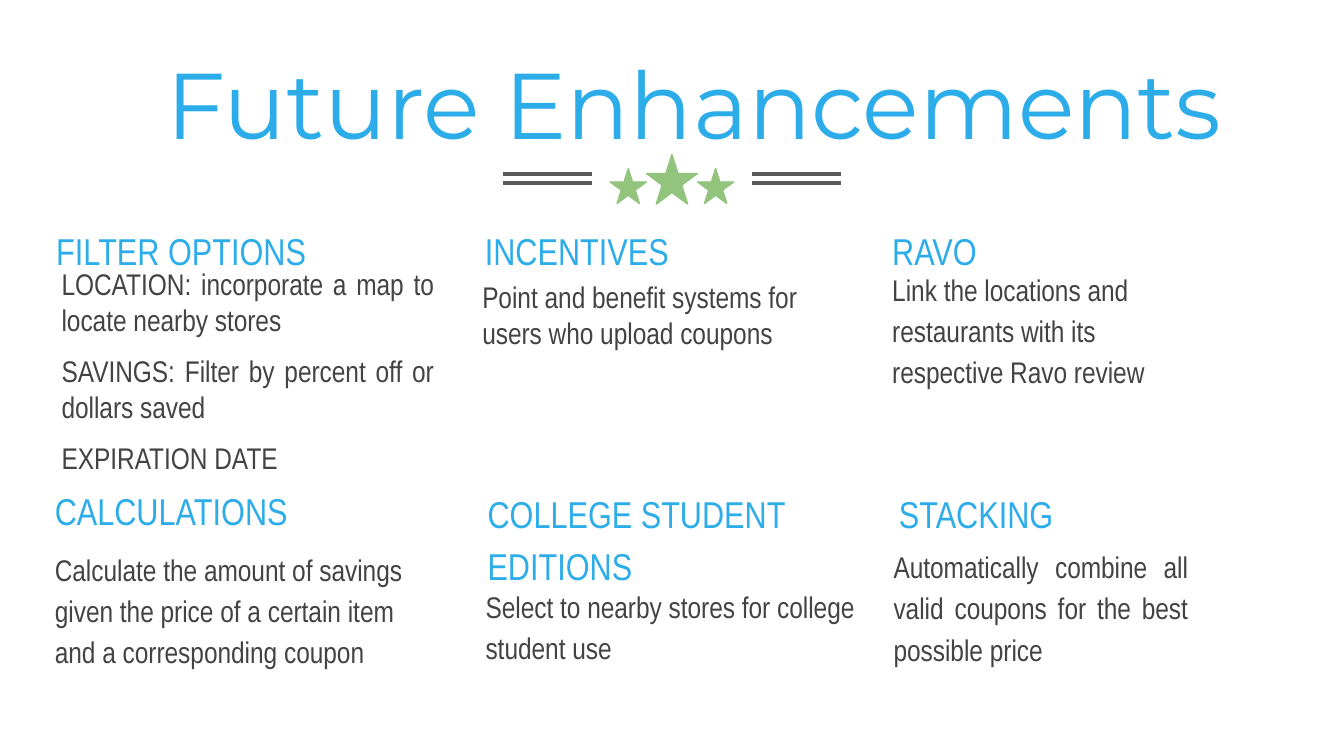
import pptx
import pptx.dml.color
import pptx.enum.shapes
import pptx.enum.text
import pptx.oxml.ns
import pptx.util
from lxml import etree

EMU_PER_PX = 4572  # 200 px to the inch

BLUE = "2CACE9"
GREEN = "93C47D"
RULE_GREY = "595959"
TEXT_GREY = "434343"
BODY_FONT = "Arial Narrow"
LEFT = pptx.enum.text.PP_ALIGN.LEFT
CENTER = pptx.enum.text.PP_ALIGN.CENTER
JUSTIFY = pptx.enum.text.PP_ALIGN.JUSTIFY


def px(*lengths):
    return [pptx.util.Emu(length * EMU_PER_PX) for length in lengths]


def rgb(hex_color):
    return pptx.dml.color.RGBColor.from_string(hex_color)


def add_text(slide, box, texts, size, color, font=BODY_FONT, alignment=LEFT,
             line_spacing=1.0, space_after=0):
    frame = slide.shapes.add_textbox(*px(*box)).text_frame
    frame.word_wrap = True
    frame.margin_left, frame.margin_top, frame.margin_right, frame.margin_bottom = px(20, 20, 20, 20)
    for index, text in enumerate(texts):
        paragraph = frame.paragraphs[0] if index == 0 else frame.add_paragraph()
        paragraph.text = text
        paragraph.alignment = alignment
        paragraph.line_spacing = line_spacing
        paragraph.space_after = pptx.util.Pt(space_after)
        paragraph.font.name = font
        paragraph.font.size = pptx.util.Pt(size)
        paragraph.font.color.rgb = rgb(color)


def add_rule(group, left, top, width):
    rule = group.shapes.add_connector(
        pptx.enum.shapes.MSO_CONNECTOR.STRAIGHT, *px(left, top, left + width, top))
    rule.line.color.rgb = rgb(RULE_GREY)
    rule.line.width = pptx.util.Pt(2.25)
    etree.SubElement(rule._element.spPr, pptx.oxml.ns.qn("a:effectLst"))


def add_star(group, left, top, width, height):
    star = group.shapes.add_shape(
        pptx.enum.shapes.MSO_SHAPE.STAR_5_POINT, *px(left, top, width, height))
    star.shadow.inherit = False
    star.fill.solid()
    star.fill.fore_color.rgb = rgb(GREEN)
    star.line.color.rgb = rgb(GREEN)
    star.line.width = pptx.util.Pt(0.75)


def add_divider(slide, left, top):
    """Three stars between two pairs of rules."""
    group = slide.shapes.add_group_shape()
    for rule_left in (0, 371):
        for rule_top in (29, 42):
            add_rule(group, left + rule_left, top + rule_top, 133)
    for star_left, star_top, width, height in (
            (214, 0, 76, 74), (160, 21, 54, 52), (290, 21, 54, 52)):
        add_star(group, left + star_left, top + star_top, width, height)


def add_section(slide, left, top, heading, body_box, texts, **body_style):
    """A heading with body text; body_box is relative to the heading's corner."""
    add_text(slide, (left, top, 620, 90), [heading], 20, BLUE,
             line_spacing=1.15, space_after=16)
    body_left, body_top, width, height = body_box
    add_text(slide, (left + body_left, top + body_top, width, height),
             texts, 16, TEXT_GREY, **body_style)


def main():
    presentation = pptx.Presentation()
    presentation.slide_width, presentation.slide_height = px(2000, 1125)
    slide = presentation.slides.add_slide(presentation.slide_layouts[6])

    add_text(slide, (128, 48, 1810, 258), ["Future Enhancements"], 50, BLUE,
             font="Montserrat", alignment=CENTER)
    add_divider(slide, 748, 230)

    tight = {"space_after": 8}
    loose = {"line_spacing": 1.15, "space_after": 16}
    add_section(slide, 64, 310, "FILTER OPTIONS", (8, 66, 594, 410), [
        "LOCATION: incorporate a map to locate nearby stores",
        "SAVINGS: Filter by percent off or dollars saved",
        "EXPIRATION DATE",
    ], alignment=JUSTIFY, **tight)
    add_section(slide, 702, 310, "INCENTIVES", (-4, 85, 594, 250),
                ["Point and benefit systems for users who upload coupons"], **tight)
    add_section(slide, 1308, 310, "RAVO", (0, 66, 504, 250),
                ["Link the locations and restaurants with its respective Ravo review"],
                **loose)
    add_section(slide, 62, 697, "CALCULATIONS", (0, 96, 574, 190),
                ["Calculate the amount of savings given the price of a certain item "
                 "and a corresponding coupon"], line_spacing=1.15)
    add_section(slide, 706, 701, "COLLEGE STUDENT EDITIONS", (-3, 147, 594, 170),
                ["Select to nearby stores for college student use"], **loose)
    add_section(slide, 1318, 701, "STACKING", (-8, 88, 478, 218),
                ["Automatically combine all valid coupons for the best possible price"],
                alignment=JUSTIFY, **loose)

    presentation.save("out.pptx")


if __name__ == "__main__":
    main()
